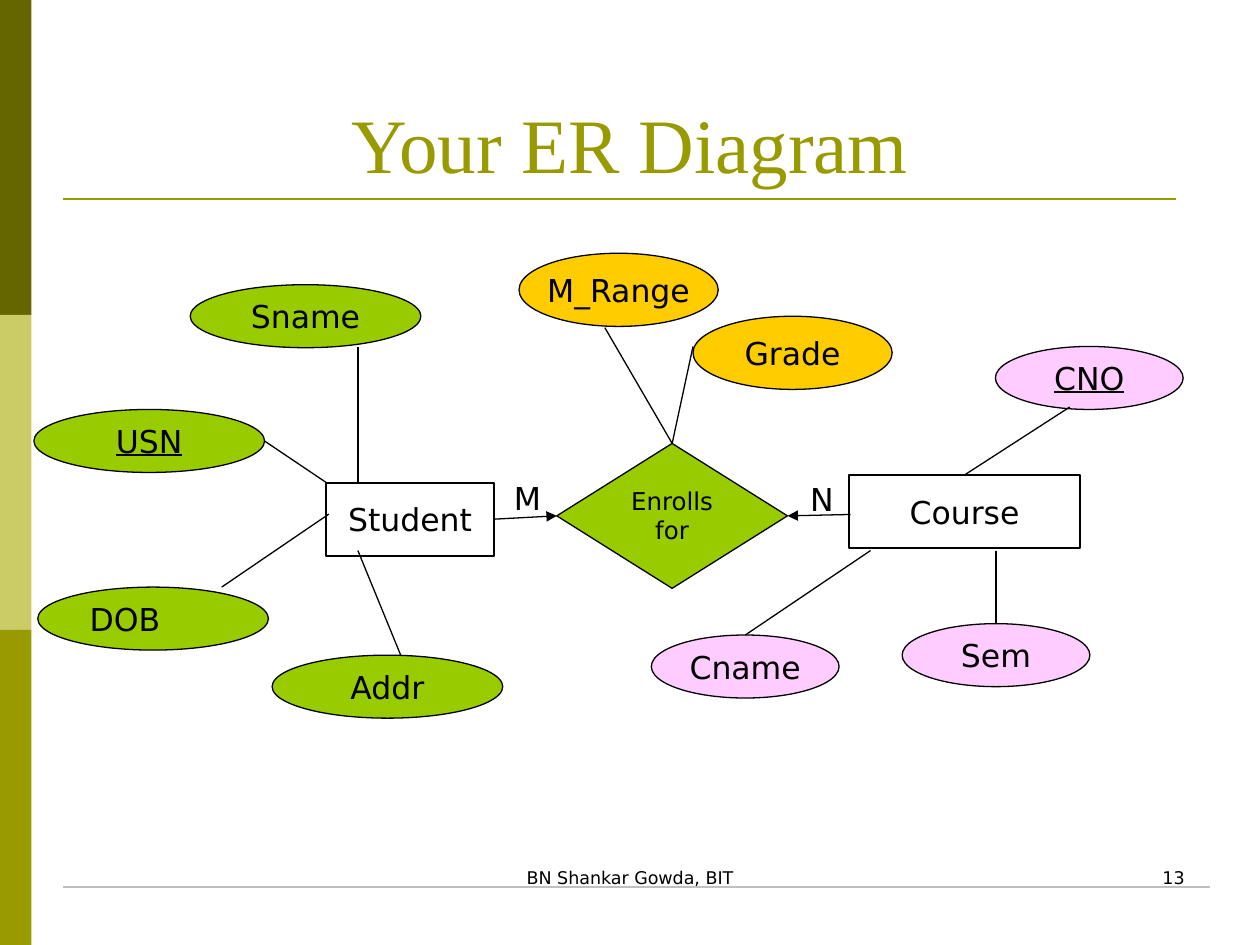
from dataclasses import dataclass
from typing import Optional, Union

from lxml import etree
from pptx import Presentation
from pptx import util as u
from pptx.dml import color
from pptx.enum import shapes, text
from pptx.oxml import ns

SANS, SERIF = "DejaVu Sans", "Times New Roman"
BLACK, WHITE, OLIVE = "000000", "FFFFFF", "999900"
GREEN, PINK, ORANGE = "99CC00", "FFCCFF", "FFCC00"
RECT = shapes.MSO_SHAPE.RECTANGLE
OVAL = shapes.MSO_SHAPE.OVAL
DIAMOND = shapes.MSO_SHAPE.DIAMOND
LEFT, CENTER, RIGHT = text.PP_ALIGN.LEFT, text.PP_ALIGN.CENTER, text.PP_ALIGN.RIGHT
TOP, MIDDLE, BOTTOM = text.MSO_ANCHOR.TOP, text.MSO_ANCHOR.MIDDLE, text.MSO_ANCHOR.BOTTOM


@dataclass
class Node:
    label: str
    x: float
    y: float
    w: float
    h: float
    fill: str
    kind: int = OVAL
    line: float = 0.75
    size: float = 18
    anchor: int = MIDDLE
    wrap: bool = False
    key: bool = False
    right_inset: float = 7.2


@dataclass
class Site:
    node: str
    index: int


@dataclass
class Edge:
    start: Union[Site, tuple]
    end: Union[Site, tuple]
    arrow: bool = False


@dataclass
class Label:
    text: str
    x: float
    y: float
    w: float
    h: float
    size: float
    align: int = CENTER
    anchor: int = TOP
    font: str = SANS
    color: str = BLACK
    fit: bool = False


NODES = [
    Node("Student", 186.5, 275.8, 95.8, 41.8, WHITE, RECT, 1),
    Node("Sname", 108.7, 162.7, 131.8, 36, GREEN),
    Node("USN", 19.4, 234, 131.8, 36, GREEN, key=True),
    Node("Addr", 155.5, 374.4, 131.8, 36, GREEN),
    Node("DOB", 21.6, 335.5, 131.8, 36, GREEN, right_inset=39.2),
    Node("Course", 485.3, 271.4, 131.8, 41.8, WHITE, RECT, 1),
    Node("CNO", 568.8, 198, 107.3, 36, PINK, key=True),
    Node("Sem", 515.5, 356.4, 107.3, 36, PINK),
    Node("Cname", 372.2, 362.9, 107.3, 36, PINK),
    Node("Enrolls for", 318.2, 253.4, 131.8, 82.8, GREEN, DIAMOND,
         size=14, anchor=TOP, wrap=True),
    Node("M_Range", 296.6, 144.7, 113.8, 41.8, ORANGE),
    Node("Grade", 396, 180.7, 113.8, 41.8, ORANGE),
]

EDGES = [
    Edge((151.2, 252), (186.5, 275.8)),
    Edge((204.5, 198), (204.5, 275.8)),
    Edge((204.5, 314.6), (229, 374.4)),
    Edge((187.9, 293.8), (126.7, 335.5)),
    Edge(Site("Course", 0), (611.3, 232.6)),
    Edge(Site("Cname", 0), (497.5, 314.6)),
    Edge(Site("Sem", 0), (569.15, 314.6)),
    Edge(Site("Student", 3), Site("Enrolls for", 1), True),
    Edge((486, 294), Site("Enrolls for", 3), True),
    Edge((396, 198), Site("Enrolls for", 0)),
    Edge((345.6, 187.2), Site("Enrolls for", 0)),
]

LABELS = [
    Label("Your ER Diagram", 36, 21.6, 648, 90, 44, anchor=BOTTOM, font=SERIF, color=OLIVE),
    Label("BN Shankar Gowda, BIT", 246, 492, 228, 36, 10),
    Label("13", 516, 492, 168, 36, 10, RIGHT),
    Label("M", 286.6, 270, 30.2, 28.8, 18, LEFT, fit=True),
    Label("N", 455.8, 270.7, 28.1, 28.8, 18, LEFT, fit=True),
]


def rgb(value: str) -> color.RGBColor:
    return color.RGBColor.from_string(value)


def write(sp, label: str, size: float, font: str, ink: str, align: int,
          anchor: int, wrap: bool, underline: Optional[bool] = None) -> None:
    tf = sp.text_frame
    tf.word_wrap = wrap
    tf.vertical_anchor = anchor
    p = tf.paragraphs[0]
    p.text = label
    p.alignment = align
    p.font.size = u.Pt(size)
    p.font.name = font
    p.font.color.rgb = rgb(ink)
    p.font.underline = underline


def add_block(s, kind: int, x: float, y: float, w: float, h: float, fill: str):
    sp = s.shapes.add_shape(kind, u.Pt(x), u.Pt(y), u.Pt(w), u.Pt(h))
    sp.shadow.inherit = False
    sp.fill.solid()
    sp.fill.fore_color.rgb = rgb(fill)
    sp.line.fill.background()
    return sp


def add_node(s, node: Node):
    sp = add_block(s, node.kind, node.x, node.y, node.w, node.h, node.fill)
    sp.line.color.rgb = rgb(BLACK)
    sp.line.width = u.Pt(node.line)
    write(sp, node.label, node.size, SANS, BLACK, CENTER, node.anchor,
          node.wrap, node.key or None)
    sp.text_frame.margin_right = u.Pt(node.right_inset)
    return sp


def add_line(s, start: tuple, end: tuple, ink: str, width: float, arrow: bool = False):
    cx = s.shapes.add_connector(shapes.MSO_CONNECTOR.STRAIGHT,
                                *(u.Pt(v) for v in (*start, *end)))
    cx.line.color.rgb = rgb(ink)
    cx.line.width = u.Pt(width)
    if arrow:
        etree.SubElement(cx.line._get_or_add_ln(), ns.qn("a:tailEnd"), type="triangle")
    etree.SubElement(cx._element.spPr, ns.qn("a:effectLst"))
    return cx


def add_edge(s, edge: Edge, drawn: dict) -> None:
    start, end = ((0, 0) if isinstance(e, Site) else e for e in (edge.start, edge.end))
    cx = add_line(s, start, end, BLACK, 0.75, edge.arrow)
    for tip, connect in ((edge.start, cx.begin_connect), (edge.end, cx.end_connect)):
        if isinstance(tip, Site):
            connect(drawn[tip.node], tip.index)


def add_label(s, label: Label) -> None:
    sp = s.shapes.add_textbox(*(u.Pt(v) for v in (label.x, label.y, label.w, label.h)))
    write(sp, label.text, label.size, label.font, label.color, label.align,
          label.anchor, not label.fit)
    if label.fit:
        sp.text_frame.auto_size = text.MSO_AUTO_SIZE.SHAPE_TO_FIT_TEXT


def main() -> None:
    prs = Presentation()
    prs.slide_width, prs.slide_height = u.Pt(720), u.Pt(540)
    s = prs.slides.add_slide(prs.slide_layouts[6])
    for i, fill in enumerate(("666600", "CCCC66", OLIVE)):
        add_block(s, RECT, 0, 180 * i, 18, 180, fill)
    add_line(s, (36, 113.8), (671.8, 113.8), OLIVE, 1.5)
    add_line(s, (36, 506.9), (691.2, 506.9), "C0C0C0", 0.75)
    drawn = {node.label: add_node(s, node) for node in NODES}
    for edge in EDGES:
        add_edge(s, edge, drawn)
    for label in LABELS:
        add_label(s, label)
    prs.save("out.pptx")


if __name__ == "__main__":
    main()
